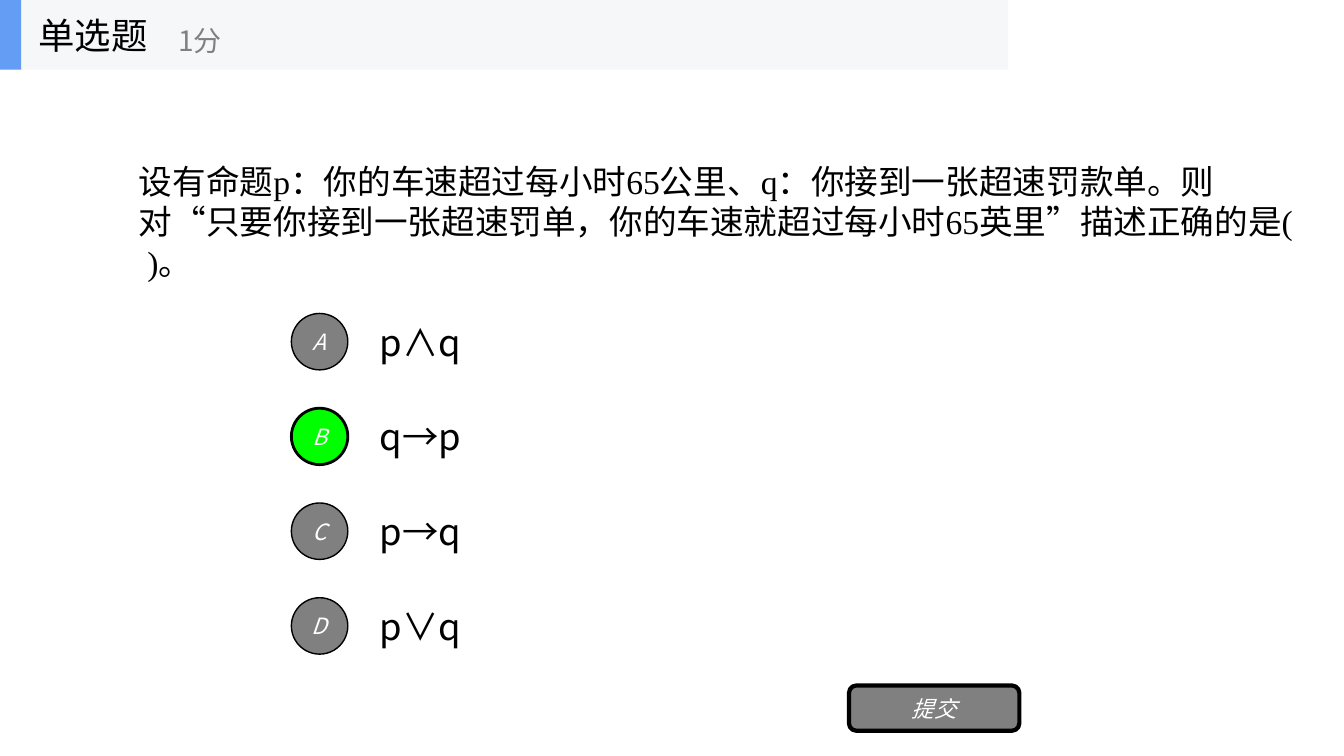
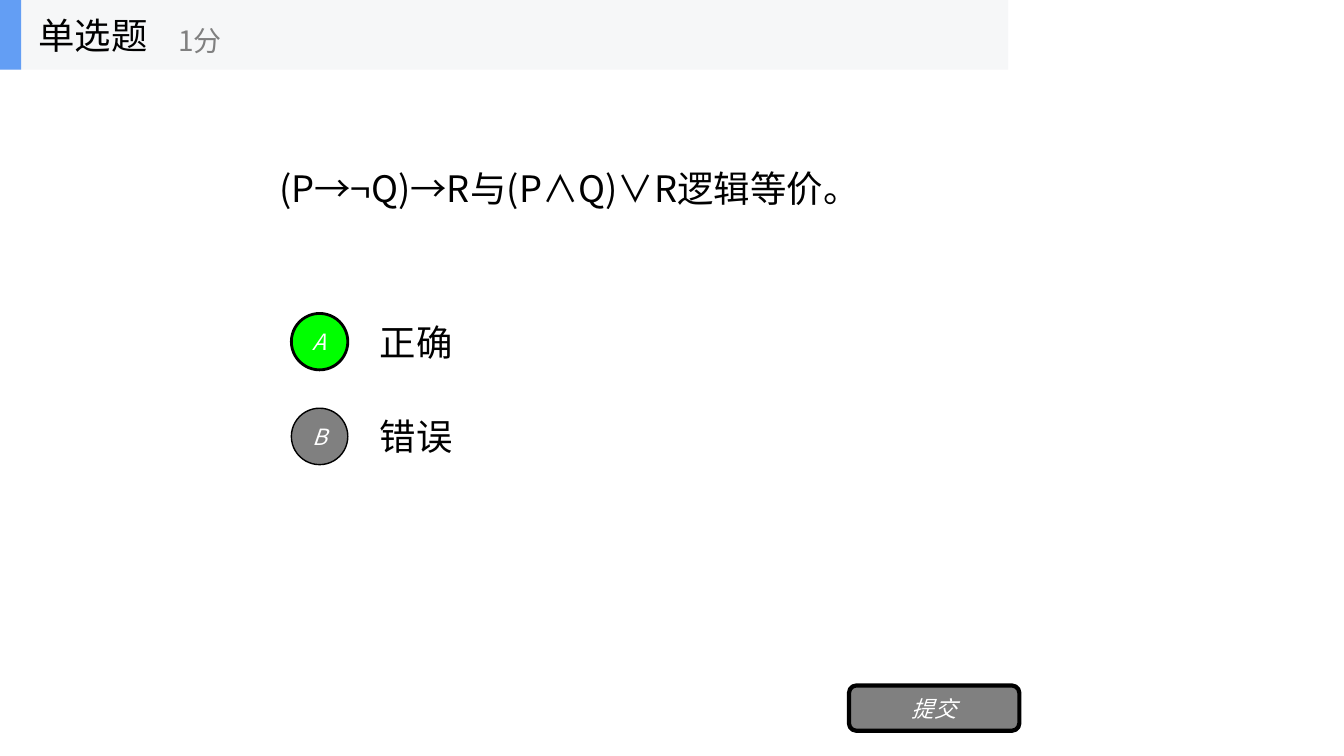
from lxml import etree
from pptx import Presentation
from pptx.dml.color import RGBColor
from pptx.enum.shapes import MSO_SHAPE
from pptx.enum.text import MSO_ANCHOR, MSO_AUTO_SIZE, PP_ALIGN
from pptx.oxml.ns import qn
from pptx.util import Inches, Pt

# Content
TITLE, SCORE, SUBMIT = "单选题", "1分", "提交"
SANS, SERIF = "Noto Sans CJK SC", "Times New Roman"
SLIDES = [
    {
        "ask": "设有命题p：你的车速超过每小时65公里、q：你接到一张超速罚款单。"
               "则对“只要你接到一张超速罚单，你的车速就超过每小时65英里”描述正确的是(  )。",
        "box": (1.28, 1.29, 11.68, 1.81),
        "size": 24, "font": SERIF, "pitch": 28.8,
        "picks": ["p∧q", "q→p", "p→q", "p∨q"], "right": "B",
    },
    {
        "ask": "(P→¬Q)→R与(P∧Q)∨R逻辑等价。",
        "box": (2.67, 0.69, 8, 2.34),
        "size": 26, "font": SANS, "pitch": None,
        "picks": ["正确", "错误"], "right": "A",
    },
]

# Shared style
BLACK = RGBColor(0x00, 0x00, 0x00)
WHITE = RGBColor(0xFF, 0xFF, 0xFF)
GREY = RGBColor(0x80, 0x80, 0x80)
GREEN = RGBColor(0x00, 0xFF, 0x00)
BLUE = RGBColor(0x63, 0x9E, 0xF4)
PALE = RGBColor(0xF6, 0xF7, 0xF8)
RECT, ROUND, OVAL = MSO_SHAPE.RECTANGLE, MSO_SHAPE.ROUNDED_RECTANGLE, MSO_SHAPE.OVAL
MIDDLE = MSO_ANCHOR.MIDDLE
LEFT, CENTER = PP_ALIGN.LEFT, PP_ALIGN.CENTER
NO_FIT = MSO_AUTO_SIZE.NONE

# Option rows
TOP, STEP = 3.11, 0.94
DOT, ROW = 0.56, 0.7


def inches(box):
    return [Inches(v) for v in box]


def write(shape, text, size, color=BLACK, font=SANS, align=LEFT, italic=None, wrap=True):
    frame = shape.text_frame
    frame.text = text
    frame.auto_size = NO_FIT
    frame.word_wrap = wrap
    frame.vertical_anchor = MIDDLE
    para = frame.paragraphs[0]
    para.alignment = align
    run = para.runs[0]
    run.font.size = Pt(size)
    run.font.italic = italic
    run.font.color.rgb = color
    run.font.name = font
    east = etree.SubElement(run.font._element, qn("a:ea"))
    east.set("typeface", SANS)
    return para


def label(slide, box, text, size, **style):
    return write(slide.shapes.add_textbox(*inches(box)), text, size, **style)


def block(slide, kind, box, fill, line=0):
    shape = slide.shapes.add_shape(kind, *inches(box))
    shape.shadow.inherit = False
    shape.fill.solid()
    shape.fill.fore_color.rgb = fill
    if line:
        shape.line.color.rgb = BLACK
        shape.line.width = Pt(line)
    else:
        shape.line.fill.background()
    return shape


def button(slide, kind, box, text, fill, line):
    shape = block(slide, kind, box, fill, line)
    write(shape, text, 16, WHITE, align=CENTER, italic=True, wrap=False)


def header(slide):
    block(slide, RECT, (0, 0, 10, 0.69), PALE)
    block(slide, RECT, (0, 0, 0.21, 0.69), BLUE)
    title = slide.shapes.title
    title.left, title.top, title.width, title.height = inches((0.28, 0, 2.08, 0.69))
    write(title, TITLE, 26)
    slide.shapes.element.append(title.element)  # lift the title above the band
    label(slide, (1.67, 0.12, 2.5, 0.56), SCORE, 20, color=GREY)


def build(deck, quiz):
    slide = deck.slides.add_slide(deck.slide_layouts[5])
    header(slide)

    # Question
    para = label(slide, quiz["box"], quiz["ask"], quiz["size"], font=quiz["font"])
    if quiz["pitch"]:
        para.line_spacing = Pt(quiz["pitch"])

    # Options
    for i, (mark, pick) in enumerate(zip("ABCD", quiz["picks"])):
        top = TOP + i * STEP
        fill, line = (GREEN, 2) if mark == quiz["right"] else (GREY, 1)
        label(slide, (3.67, top - (ROW - DOT) / 2, 7, ROW), pick, 26)
        button(slide, OVAL, (2.89, top, DOT, DOT), mark, fill, line)

    button(slide, ROUND, (8.42, 6.8, 1.69, 0.45), SUBMIT, GREY, 3)


def main():
    deck = Presentation()
    deck.slide_width, deck.slide_height = Inches(13.33), Inches(7.5)
    for quiz in SLIDES:
        build(deck, quiz)
    deck.save("out.pptx")


if __name__ == "__main__":
    main()
